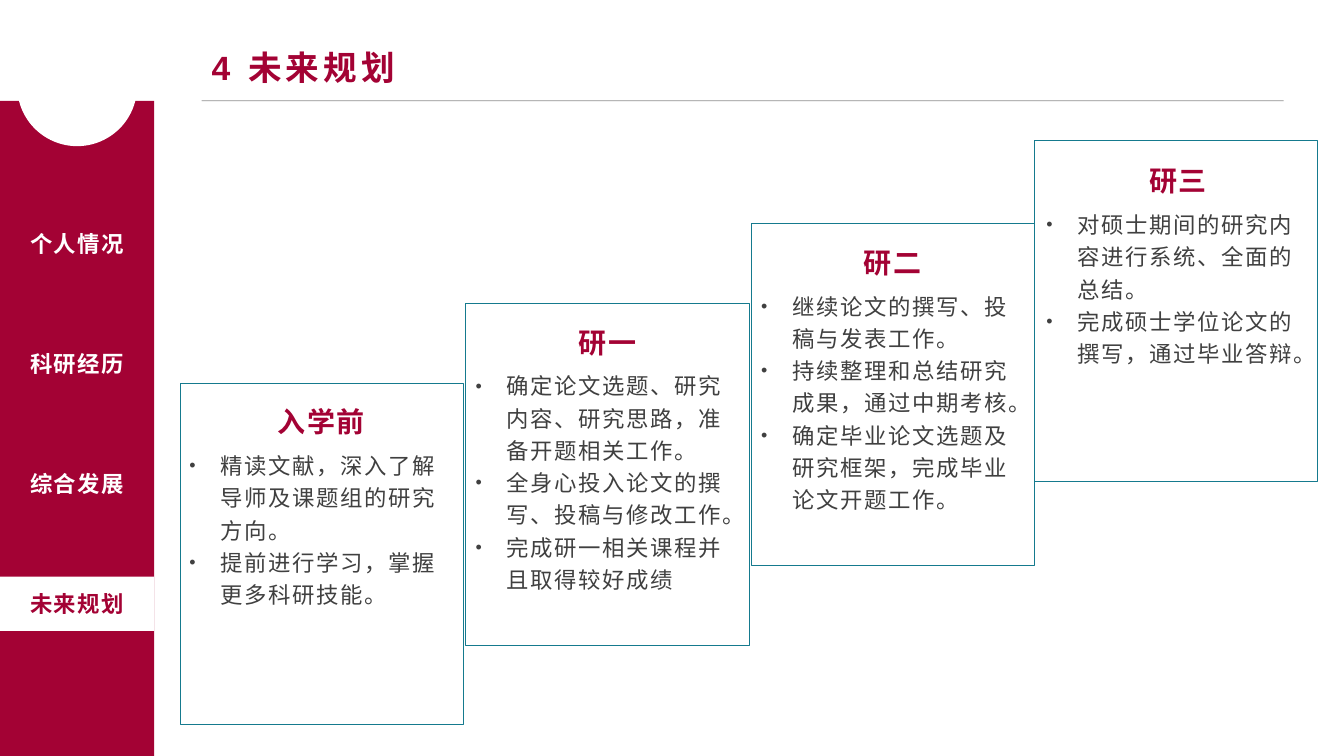
from lxml.etree import SubElement
from pptx import Presentation
from pptx.dml.color import RGBColor
from pptx.enum.shapes import MSO_CONNECTOR, MSO_SHAPE
from pptx.enum.text import MSO_ANCHOR, MSO_AUTO_SIZE, PP_ALIGN
from pptx.oxml.ns import qn
from pptx.util import Inches, Pt

# Content
TITLE = "4 未来规划"
SECTIONS = ["个人情况", "科研经历", "综合发展", "未来规划"]
CURRENT = "未来规划"
# heading, tasks, frame (left, top), text (left, top), text height
STAGES = [
    ("入学前", ["精读文献，深入了解导师及课题组的研究方向。",
             "提前进行学习，掌握更多科研技能。"],
     (1.79, 3.8), (1.78, 3.8), 2.62),
    ("研一", ["确定论文选题、研究内容、研究思路，准备开题相关工作。",
            "全身心投入论文的撰写、投稿与修改工作。",
            "完成研一相关课程并且取得较好成绩"],
     (4.62, 3.01), (4.62, 3.01), 2.62),
    ("研二", ["继续论文的撰写、投稿与发表工作。",
            "持续整理和总结研究成果，通过中期考核。",
            "确定毕业论文选题及研究框架，完成毕业论文开题工作。"],
     (7.45, 2.22), (7.45, 2.22), 3.8),
    ("研三", ["对硕士期间的研究内容进行系统、全面的总结。",
            "完成硕士学位论文的撰写，通过毕业答辩。"],
     (10.26, 1.39), (10.28, 1.41), 2.3),
]

# Style and grid, in inches
CRIMSON = RGBColor(0xA3, 0x02, 0x34)
TEAL = RGBColor(0x15, 0x7A, 0x8E)
INK = RGBColor(0x0D, 0x0D, 0x0D)
GREY = RGBColor(0x40, 0x40, 0x40)
WHITE = RGBColor(0xFF, 0xFF, 0xFF)
LATIN, CJK = "Arial", "Noto Sans CJK SC"
SLIDE_W, SLIDE_H = 13.33, 7.5
HEADER_H, SIDEBAR_W, NOTCH = 1, 1.53, 1.19
ITEM_TOP, ITEM_STEP, ITEM_H = 2.15, 1.19, 0.54
CARD_W, CARD_H = 2.81, 3.39
INDENT = 0.31

deck = Presentation()
deck.slide_width, deck.slide_height = Inches(SLIDE_W), Inches(SLIDE_H)
slide = deck.slides.add_slide(deck.slide_layouts[5])


def inches(*lengths):
    return [Inches(length) for length in lengths]


def style(paragraph, size, color, bold, spacing, latin=LATIN):
    for run in paragraph.runs:
        font = run.font
        font.size, font.bold, font.name = Pt(size), bold, latin
        font.color.rgb = color
        properties = run._r.get_or_add_rPr()
        properties.set("spc", str(round(spacing * 100)))
        SubElement(properties, qn("a:ea"), typeface=CJK)


def add_block(kind, box, fill=None):
    block = slide.shapes.add_shape(kind, *inches(*box))
    block.shadow.inherit = False
    block.line.fill.background()
    if fill is None:
        block.fill.background()
    else:
        block.fill.solid()
        block.fill.fore_color.rgb = fill
    return block


def add_bullet(paragraph):
    properties = paragraph._p.get_or_add_pPr()
    properties.set("marL", str(Inches(INDENT)))
    properties.set("indent", str(-Inches(INDENT)))
    SubElement(properties, qn("a:buSzPct"), val="80000")
    SubElement(properties, qn("a:buFont"), typeface=LATIN)
    SubElement(properties, qn("a:buChar"), char="•")


# Header
rule = slide.shapes.add_connector(
    MSO_CONNECTOR.STRAIGHT, *inches(2, HEADER_H, 12.73, HEADER_H))
rule.line.width = Pt(0.5)
rule.line.color.rgb = INK
rule_color = rule.line._ln.find(".//" + qn("a:srgbClr"))
SubElement(rule_color, qn("a:alpha"), val="46000")
SubElement(rule._element.spPr, qn("a:effectLst"))

title = slide.shapes.title
title.left, title.top, title.width, title.height = inches(2, 0.42, 11.73, 0.5)
title.text_frame.text = TITLE
title.text_frame.vertical_anchor = MSO_ANCHOR.TOP
title.text_frame.auto_size = MSO_AUTO_SIZE.SHAPE_TO_FIT_TEXT
title.text_frame.paragraphs[0].alignment = PP_ALIGN.LEFT
style(title.text_frame.paragraphs[0], 24, CRIMSON, True, 3)

# Sidebar with a round notch
add_block(MSO_SHAPE.RECTANGLE,
          (0, HEADER_H, SIDEBAR_W, SLIDE_H - HEADER_H), CRIMSON)
add_block(MSO_SHAPE.OVAL,
          ((SIDEBAR_W - NOTCH) / 2, 0.26, NOTCH, NOTCH), WHITE)

# Section menu
for row, section in enumerate(SECTIONS):
    box = (0, ITEM_TOP + row * ITEM_STEP, SIDEBAR_W, ITEM_H)
    if section == CURRENT:
        item, color = add_block(MSO_SHAPE.RECTANGLE, box, WHITE), CRIMSON
    else:
        item, color = slide.shapes.add_textbox(*inches(*box)), WHITE
    item.text_frame.word_wrap = True
    item.text_frame.vertical_anchor = MSO_ANCHOR.MIDDLE
    item.text_frame.text = section
    label = item.text_frame.paragraphs[0]
    label.alignment = PP_ALIGN.CENTER
    style(label, 16, color, True, 1.1, CJK)

# Rising stages
for heading, tasks, frame_at, text_at, text_h in STAGES:
    frame = add_block(MSO_SHAPE.RECTANGLE, (*frame_at, CARD_W, CARD_H))
    frame.line.color.rgb = TEAL
    frame.line.width = Pt(0.75)

    plan = slide.shapes.add_textbox(*inches(*text_at, CARD_W, text_h)).text_frame
    plan.word_wrap = True
    plan.text = "\n".join([heading, *tasks])
    head, *lines = plan.paragraphs
    head.alignment = PP_ALIGN.CENTER
    head.line_spacing = 1.5
    head.space_after = Pt(6)
    style(head, 20, CRIMSON, True, 1.2)
    for line in lines:
        line.line_spacing = 1.2
        add_bullet(line)
        style(line, 16, GREY, False, 1.2)

deck.save("out.pptx")
